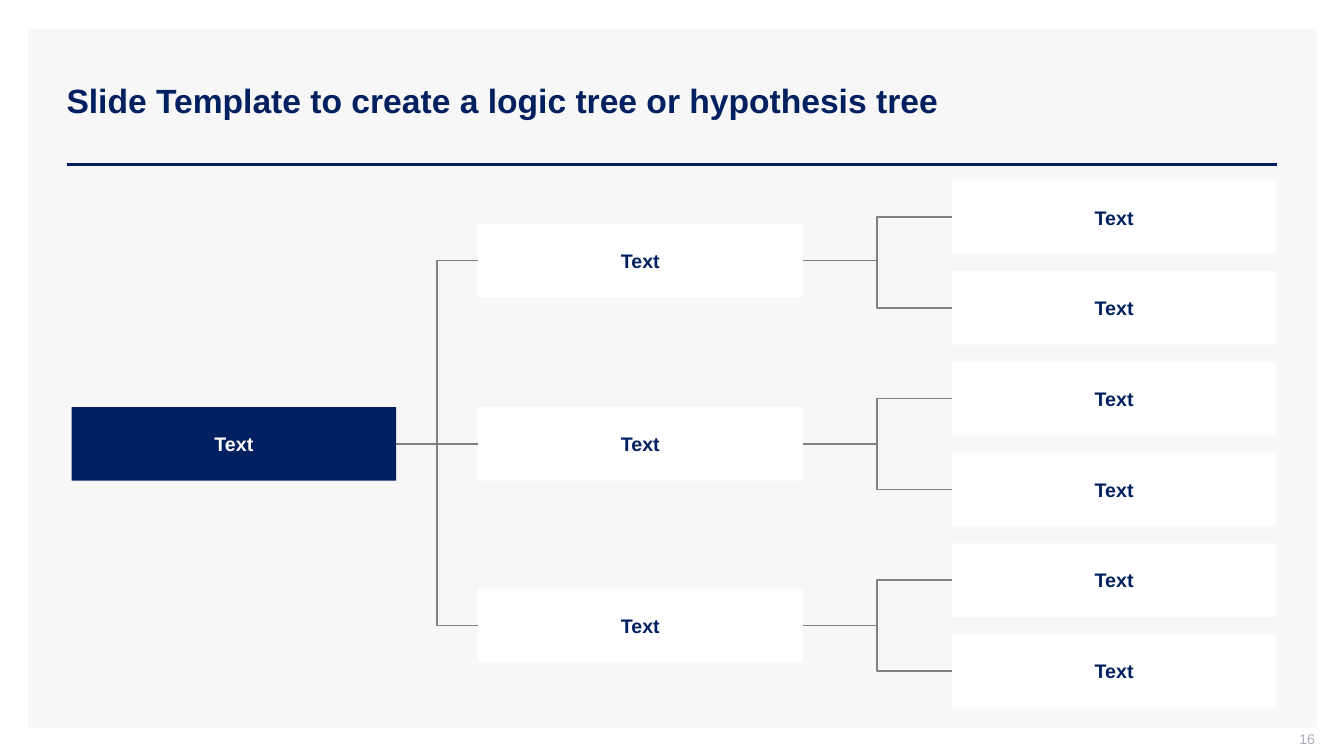
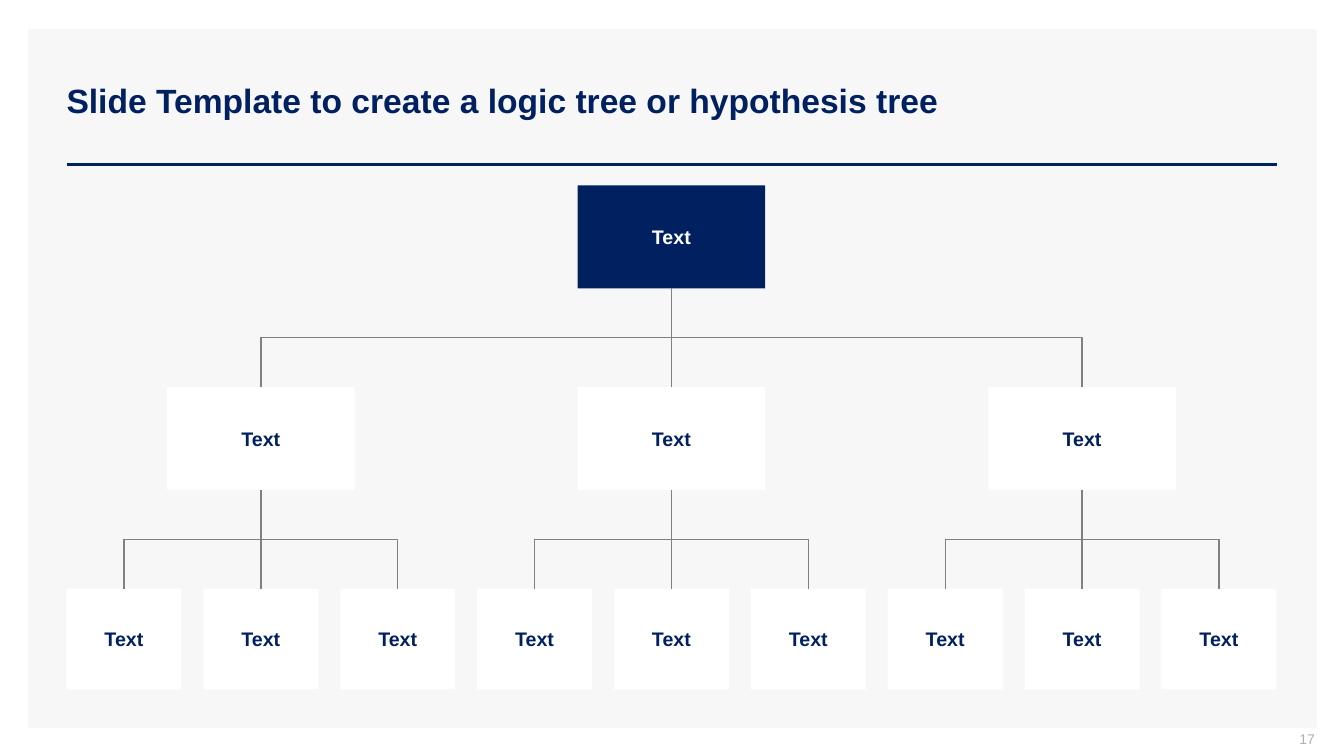
from dataclasses import dataclass

import pptx
import pptx.dml.color
import pptx.enum.shapes
import pptx.enum.text
import pptx.oxml
import pptx.oxml.ns
import pptx.util

Inches = pptx.util.Inches
Pt = pptx.util.Pt
qn = pptx.oxml.ns.qn
Align = pptx.enum.text.PP_ALIGN
Anchor = pptx.enum.text.MSO_ANCHOR
Connector = pptx.enum.shapes.MSO_CONNECTOR


@dataclass(frozen=True)
class Theme:
    font: str = "Arial"
    navy: str = "002060"
    white: str = "FFFFFF"
    panel: str = "F7F7F7"
    branch: str = "808080"
    muted: str = "ADAFBB"
    title_size: int = 24
    box_size: int = 14
    page_size: int = 10


THEME = Theme()
TITLE = "Slide Template to create a logic tree or hypothesis tree"
FIRST_PAGE = 16
# Connection sites of a rectangle
TOP, LEFT, BOTTOM, RIGHT = range(4)


def rgb(value):
    return pptx.dml.color.RGBColor.from_string(value)


def style_text(tf, size, color, align, bold=False):
    tf.word_wrap = True
    tf.vertical_anchor = Anchor.MIDDLE
    p = tf.paragraphs[0]
    p.alignment = align
    p.font.name = THEME.font
    p.font.size = Pt(size)
    p.font.bold = bold
    p.font.color.rgb = rgb(color)


def set_margins(tf, left, top, right, bottom):
    tf.margin_left, tf.margin_top = Inches(left), Inches(top)
    tf.margin_right, tf.margin_bottom = Inches(right), Inches(bottom)


def add_rect(s, x, y, w, h, fill):
    sp = s.shapes.add_shape(pptx.enum.shapes.MSO_SHAPE.RECTANGLE,
                            Inches(x), Inches(y), Inches(w), Inches(h))
    sp.shadow.inherit = False
    sp.fill.solid()
    sp.fill.fore_color.rgb = rgb(fill)
    sp.line.fill.background()
    return sp


def add_box(s, x, y, w, h, root=False):
    fill, color = (THEME.navy, THEME.white) if root else (THEME.white, THEME.navy)
    sp = add_rect(s, x, y, w, h, fill)
    tf = sp.text_frame
    tf.text = "Text"
    set_margins(tf, 0.02, 0.02, 0.02, 0.02)
    style_text(tf, THEME.box_size, color, Align.CENTER, bold=True)
    return sp


def style_line(line, color, width):
    line.line.color.rgb = rgb(color)
    line.line.width = Pt(width)
    pptx.oxml.ns  # namespace map used by qn
    line._element.spPr.append(pptx.oxml.parse_xml(
        '<a:effectLst xmlns:a="http://schemas.openxmlformats.org/drawingml/2006/main"/>'))


def turn_downward(line):
    """Rotate an elbow so that it leaves and arrives vertically."""
    dx, dy = line.end_x - line.begin_x, line.end_y - line.begin_y
    center_x, center_y = line.begin_x + dx // 2, line.begin_y + dy // 2
    line.width, line.height = dy, abs(dx)
    line.left, line.top = center_x - dy // 2, center_y - abs(dx) // 2
    xfrm = line._element.spPr.find(qn("a:xfrm"))
    xfrm.set("rot", "5400000")
    xfrm.set("flipH", "0")
    xfrm.set("flipV", "1" if dx > 0 else "0")


def connect(s, parent, child, start, end):
    """Join two boxes; use a straight line where they are aligned."""
    vertical = start == BOTTOM
    if vertical:
        offset = parent.left + parent.width // 2 - child.left - child.width // 2
    else:
        offset = parent.top + parent.height // 2 - child.top - child.height // 2
    straight = abs(offset) < Inches(0.01)
    kind = Connector.STRAIGHT if straight else Connector.ELBOW
    line = s.shapes.add_connector(kind, 0, 0, 0, 0)
    line.begin_connect(parent, start)
    line.end_connect(child, end)
    if vertical and not straight:
        turn_downward(line)
    style_line(line, THEME.branch, 1)


def add_frame(s, layout):
    """Move the panel and title rule to the layout, behind its placeholders."""
    panel = add_rect(s, 0.28, 0.29, 12.78, 6.93, THEME.panel)
    rule = s.shapes.add_connector(Connector.STRAIGHT, Inches(0.66), Inches(1.63),
                                  Inches(12.67), Inches(1.63))
    style_line(rule, THEME.navy, 2)
    for index, shape in enumerate((panel, rule), start=2):
        layout.shapes._spTree.insert(index, shape._element)


def add_title(s):
    title = s.shapes.title
    title.left, title.top = Inches(0.56), Inches(0.4)
    title.width, title.height = Inches(12.11), Inches(1.19)
    title.text = TITLE
    title.text_frame.auto_size = pptx.enum.text.MSO_AUTO_SIZE.NONE
    style_text(title.text_frame, THEME.title_size, THEME.navy, Align.LEFT, bold=True)


def add_page_number(s, number):
    tf = s.shapes.add_textbox(Inches(10.04), Inches(7.25),
                              Inches(3), Inches(0.21)).text_frame
    tf.text = str(number)
    set_margins(tf, 0.1, 0, 0, 0.05)
    style_text(tf, THEME.page_size, THEME.muted, Align.RIGHT)


def draw_horizontal_tree(s):
    w, h = 3.22, 0.73
    root = add_box(s, 0.71, 4.04, w, h, root=True)
    for i, y in enumerate((2.22, 4.04, 5.84)):
        branch = add_box(s, 4.74, y, w, h)
        connect(s, root, branch, RIGHT, LEFT)
        for j in range(2):
            leaf = add_box(s, 9.44, 1.79 + 0.9 * (2 * i + j), w, h)
            connect(s, branch, leaf, RIGHT, LEFT)


def draw_vertical_tree(s):
    w, h, leaf_w, leaf_h = 1.86, 1.02, 1.14, 1
    left, right, top, level = 0.66, 12.66, 1.84, 2
    pitch = (right - left - leaf_w) / 8
    root = add_box(s, (left + right - w) / 2, top, w, h, root=True)
    for i in range(3):
        center = left + leaf_w / 2 + pitch * (3 * i + 1)
        branch = add_box(s, center - w / 2, top + level, w, h)
        connect(s, root, branch, BOTTOM, TOP)
        for j in range(3):
            x = left + pitch * (3 * i + j)
            leaf = add_box(s, x, top + 2 * level, leaf_w, leaf_h)
            connect(s, branch, leaf, BOTTOM, TOP)


def main():
    prs = pptx.Presentation()
    prs.slide_width, prs.slide_height = Inches(13.33), Inches(7.5)
    layout = prs.slide_layouts.get_by_name("Title Only")
    trees = (draw_horizontal_tree, draw_vertical_tree)
    for number, draw_tree in enumerate(trees, start=FIRST_PAGE):
        s = prs.slides.add_slide(layout)
        if number == FIRST_PAGE:
            add_frame(s, layout)
        add_title(s)
        add_page_number(s, number)
        draw_tree(s)
    prs.save("out.pptx")


if __name__ == "__main__":
    main()
